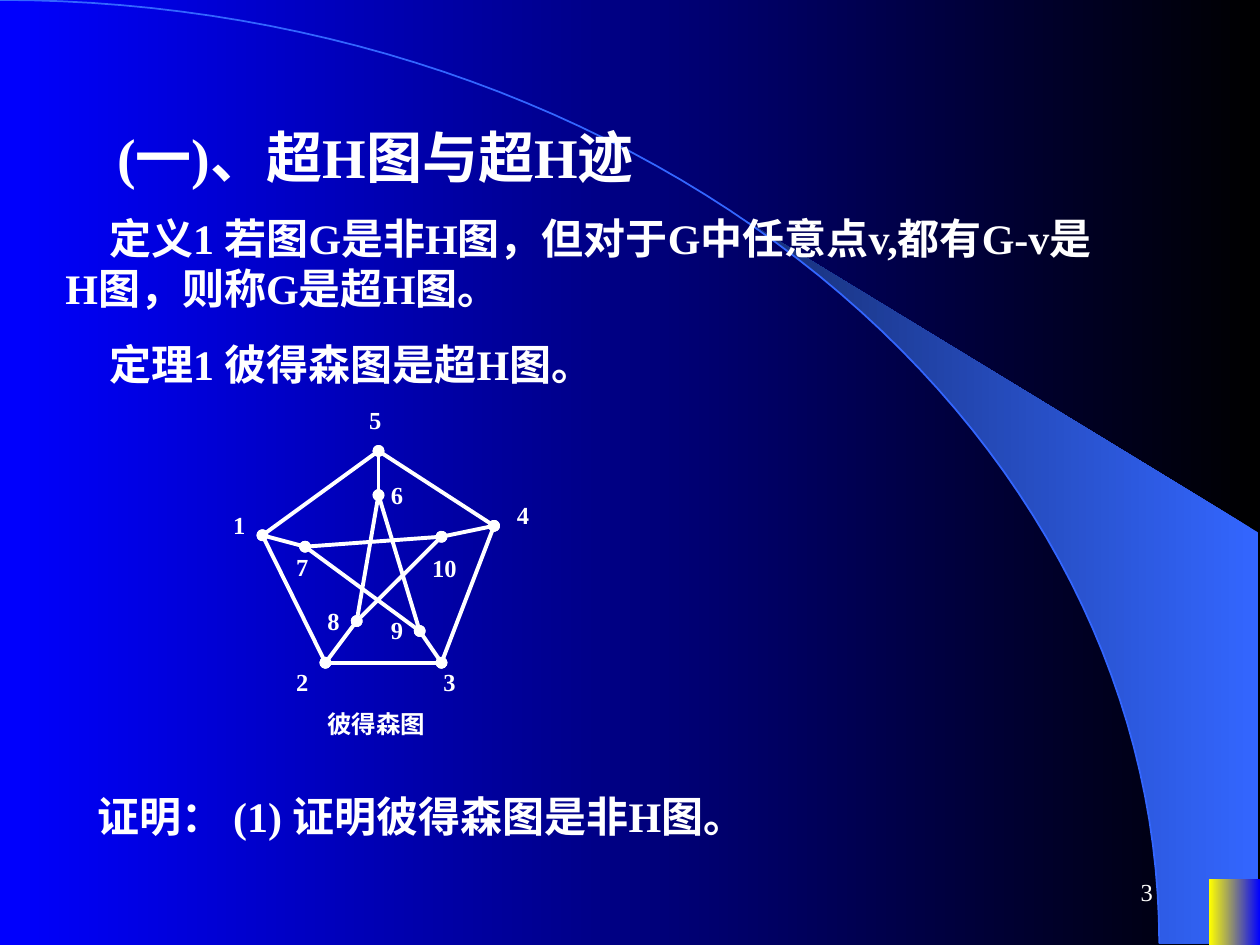
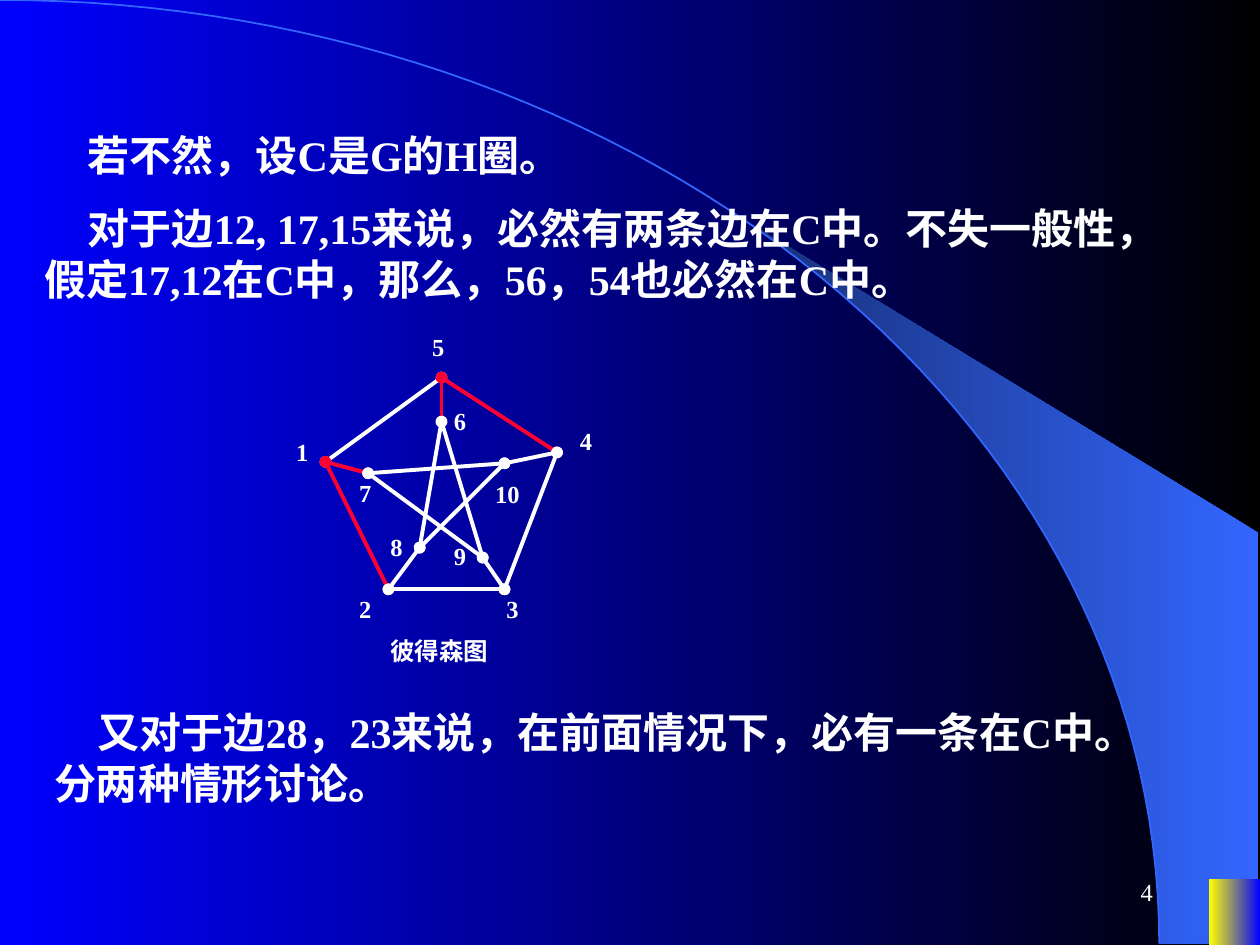
import math
from dataclasses import dataclass

from lxml import etree
from pptx import Presentation
from pptx.dml.color import RGBColor
from pptx.enum import shapes, text
from pptx.oxml.ns import qn
from pptx.util import Cm, Pt


@dataclass(frozen=True)
class Theme:
    font: str = "Times New Roman"
    white: str = "FFFFFF"
    red: str = "FF0033"
    sky: str = "3366FF"
    navy: str = "172F75"
    blue: str = "0000FF"
    black: str = "000000"
    yellow: str = "FFFF00"
    title: int = 32
    body: int = 24
    small: int = 14
    edge: float = 2.25
    indent: float = 0.88


THEME = Theme()
WIDTH, HEIGHT = 25.4, 19.05
ARC_WIDTH, ARC_HEIGHT = 23.37, 19.02

# Petersen graph: places in cm inside the figure box
NODES = {
    1: (0.84, 2.74), 2: (2.11, 5.31), 3: (4.45, 5.31), 4: (5.51, 2.55),
    5: (3.18, 1.04), 6: (3.18, 1.93), 7: (1.7, 2.97), 8: (2.74, 4.47),
    9: (4.01, 4.67), 10: (4.45, 2.77),
}
LABELS = {
    1: (0, 2.11), 2: (1.27, 5.28), 3: (4.24, 5.28), 4: (5.72, 1.9),
    5: (2.74, 0), 6: (3.18, 1.5), 7: (1.27, 2.95), 8: (1.9, 4.04),
    9: (3.18, 4.22), 10: (4.01, 2.97),
}
EDGES = [
    (5, 1), (5, 4), (1, 2), (4, 3), (2, 3),             # outer ring
    (5, 6), (1, 7), (4, 10), (3, 9), (2, 8),            # spokes
    (7, 10), (6, 8), (6, 9), (7, 9), (10, 8),           # inner star
]


def rgb(color):
    return RGBColor.from_string(color)


def paint_gradient(fill, first, last):
    """Run a gradient from first (right) to last (left)."""
    fill.gradient()
    fill.gradient_angle = 180
    for stop, color, place in zip(fill.gradient_stops, (first, last), (0, 1)):
        stop.color.rgb = rgb(color)
        stop.position = place


def add_text(parent, box, words, size, bold=True, indent=0.0,
             align=text.PP_ALIGN.LEFT, anchor=text.MSO_ANCHOR.TOP):
    frame = parent.add_textbox(*map(Cm, box)).text_frame
    frame.word_wrap = True
    frame.vertical_anchor = anchor
    para = frame.paragraphs[0]
    para.text = words
    para.alignment = align
    if indent:
        para._p.get_or_add_pPr().set("indent", str(Cm(indent)))
    para.font.name = THEME.font
    para.font.size = Pt(size)
    para.font.bold = bold
    para.font.color.rgb = rgb(THEME.white)


def add_body(page, box, words):
    add_text(page.shapes, box, words, THEME.body, indent=THEME.indent)


def arc_points(start):
    """Points on the quarter ellipse, from start to 90 degrees."""
    steps = 60
    angles = [math.radians(start + (90 - start) * i / steps)
              for i in range(steps + 1)]
    return [(Cm(ARC_WIDTH * math.sin(a)), Cm(ARC_HEIGHT * (1 - math.cos(a))))
            for a in angles]


def add_outline(page, points, close):
    builder = page.shapes.build_freeform(*points[0])
    builder.add_line_segments(points[1:], close=close)
    outline = builder.convert_to_shape()
    outline.shadow.inherit = False
    return outline


def add_backdrop(page):
    # Blue band to the right of the arc
    corners = [(Cm(25.37), Cm(ARC_HEIGHT)), (Cm(25.37), Cm(10.74))]
    band = add_outline(page, arc_points(39.8) + corners, close=True)
    paint_gradient(band.fill, THEME.sky, THEME.navy)
    band.line.fill.background()

    # Arc line
    arc = add_outline(page, arc_points(0), close=False)
    arc.fill.background()
    arc.line.color.rgb = rgb(THEME.sky)
    arc.line.width = Pt(1)

    # Corner block
    block = page.shapes.add_shape(shapes.MSO_SHAPE.RECTANGLE,
                                  Cm(24.38), Cm(17.73), Cm(1.02), Cm(1.32))
    block.shadow.inherit = False
    paint_gradient(block.fill, THEME.blue, THEME.yellow)
    block.line.fill.background()


def add_edge(parent, start, end, color):
    edge = parent.add_connector(shapes.MSO_CONNECTOR.STRAIGHT,
                                *map(Cm, start + end))
    edge.line.color.rgb = rgb(color)
    edge.line.width = Pt(THEME.edge)
    line = edge.line._get_or_add_ln()
    for tag in ("a:headEnd", "a:tailEnd"):
        etree.SubElement(line, qn(tag)).set("type", "oval")
    etree.SubElement(edge._element.spPr, qn("a:effectLst"))


def add_petersen_graph(page, left, top, red_edges=()):
    figure = page.shapes.add_group_shape().shapes

    def shift(place):
        return left + place[0], top + place[1]

    for a, b in EDGES:
        color = THEME.red if (a, b) in red_edges else THEME.white
        add_edge(figure, shift(NODES[a]), shift(NODES[b]), color)
    for number, place in LABELS.items():
        width = 0.89 if number < 10 else 1.27
        add_text(figure, (*shift(place), width, 0.86), str(number), THEME.small)
    add_text(figure, (*shift((1.9, 6.12)), 3.18, 0.86), "彼得森图", THEME.small)


def add_page(deck, number):
    page = deck.slides.add_slide(deck.slide_layouts[6])
    add_backdrop(page)
    add_text(page.shapes, (18.21, 17.35, 5.28, 1.27), str(number), THEME.small,
             bold=False, align=text.PP_ALIGN.RIGHT,
             anchor=text.MSO_ANCHOR.MIDDLE)
    return page


def build_definition(deck):
    page = add_page(deck, 3)
    add_text(page.shapes, (2.11, 2.34, 18.62, 1.63), "(一)、超H图与超H迹",
             THEME.title)
    add_body(page, (1.07, 4.16, 21.39, 2.3),
             "定义1 若图G是非H图，但对于G中任意点v,都有G-v是H图，则称G是超H图。")
    add_body(page, (1.07, 6.7, 21.39, 1.3), "定理1 彼得森图是超H图。")
    add_petersen_graph(page, 4.45, 8.05)
    add_body(page, (0.84, 15.82, 21.39, 1.3), "证明： (1) 证明彼得森图是非H图。")


def build_proof(deck):
    page = add_page(deck, 4)
    add_body(page, (0.64, 2.48, 21.39, 1.3), "若不然，设C是G的H圈。")
    add_body(page, (0.64, 3.96, 22.66, 2.3),
             "对于边12, 17,15来说，必然有两条边在C中。不失一般性，"
             "假定17,12在C中，那么，56，54也必然在C中。")
    add_petersen_graph(page, 5.72, 6.57,
                       red_edges={(5, 4), (1, 2), (5, 6), (1, 7)})
    add_body(page, (0.84, 14.12, 22.43, 2.3),
             "又对于边28，23来说，在前面情况下，必有一条在C中。分两种情形讨论。")


def main():
    deck = Presentation()
    deck.slide_width, deck.slide_height = Cm(WIDTH), Cm(HEIGHT)
    paint_gradient(deck.slide_master.background.fill, THEME.black, THEME.blue)
    build_definition(deck)
    build_proof(deck)
    deck.save("out.pptx")


if __name__ == "__main__":
    main()
